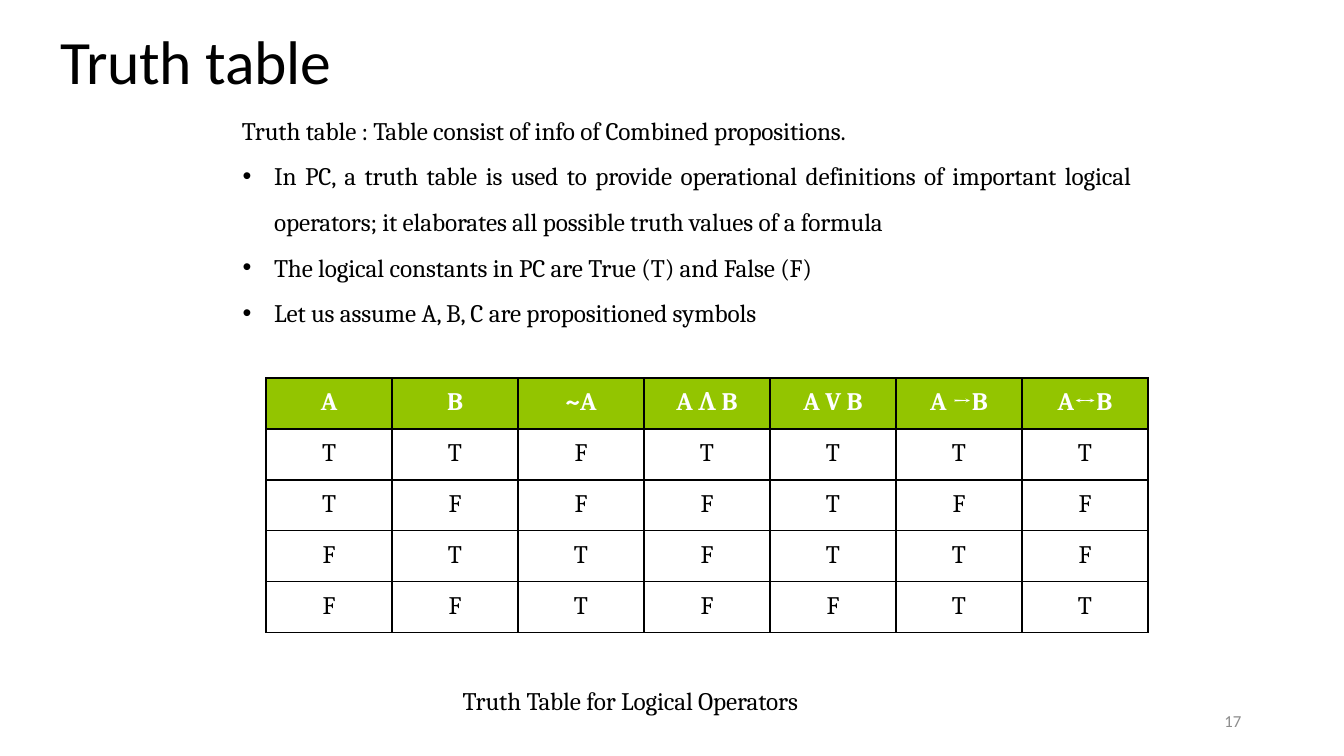
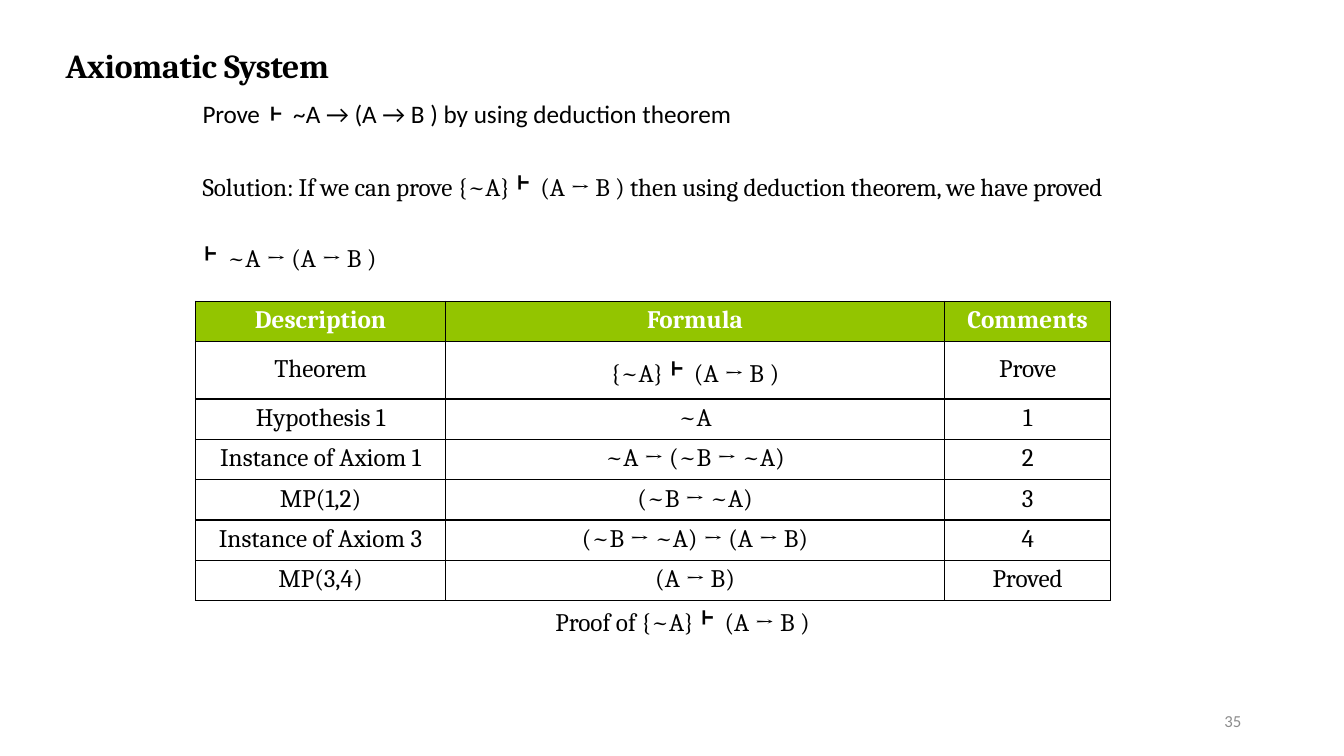
from dataclasses import dataclass

from lxml import etree
from pptx import Presentation
from pptx.dml.color import RGBColor
from pptx.enum.text import MSO_ANCHOR, PP_ALIGN
from pptx.oxml.ns import qn
from pptx.util import Pt

LEFT, RIGHT = PP_ALIGN.LEFT, PP_ALIGN.RIGHT
CENTER, JUST = PP_ALIGN.CENTER, PP_ALIGN.JUSTIFY
TOP, MID = MSO_ANCHOR.TOP, MSO_ANCHOR.MIDDLE
SIGN = "˫ "


@dataclass(frozen=True)
class Style:
    """Look of one kind of text."""
    size: float
    font: str
    color: str = "000000"
    bold: bool = False
    track: float = 0


class Theme:
    """Colours and type shared by the slides."""
    band, rule, back = "93C500", "000000", "FFFFFF"
    sign = 28
    title = Style(44, "Calibri", track=-0.2)
    head = Style(24, "Cambria", bold=True, track=-0.15)
    task = Style(18, "Calibri")
    body = Style(18, "Cambria", track=-0.08)
    cell = Style(18, "Cambria")
    top = Style(18, "Cambria", "FFFFFF", True)
    page = Style(12, "Calibri", "8C8C8C", track=0.1)


def add_run(para, text, style, size=None, track=None):
    """Add one styled run."""
    run = para.add_run()
    run.text = text
    font = run.font
    font.size, font.name, font.bold = Pt(size or style.size), style.font, style.bold
    font.color.rgb = RGBColor.from_string(style.color)
    space = style.track if track is None else track
    if space:
        run._r.get_or_add_rPr().set("spc", str(round(space * 100)))


def write(para, text, style, align=LEFT):
    """Fill a paragraph, with the turnstile sign set larger."""
    para.alignment = align
    for i, part in enumerate(text.split(SIGN)):
        if i:
            add_run(para, SIGN, style, Theme.sign, 0)
        if part:
            add_run(para, part, style)


def add_box(slide, box, inset=0.7, anchor=TOP):
    """Add a wrapped text frame with only a top inset."""
    frame = slide.shapes.add_textbox(*map(Pt, box)).text_frame
    frame.word_wrap = True
    frame.vertical_anchor = anchor
    frame.margin_left = frame.margin_right = frame.margin_bottom = 0
    frame.margin_top = Pt(inset)
    return frame


def add_label(slide, box, text, style, inset=0.7, anchor=TOP, align=LEFT):
    """Add a one-line text box and return its paragraph."""
    para = add_box(slide, box, inset, anchor).paragraphs[0]
    write(para, text, style, align)
    return para


def add_page(slide, number):
    """Add the page number at the lower right."""
    add_label(slide, (678, 500.5, 208.8, 28.8), number, Theme.page, 0, MID, RIGHT)


def add_points(slide, box, lead, points):
    """Add a lead line and a justified bullet list."""
    frame = add_box(slide, box, 11.5)
    write(frame.paragraphs[0], lead, Theme.body, JUST)
    for text in points:
        para = frame.add_paragraph()
        para.line_spacing = Pt(32.6)
        props = para._p.get_or_add_pPr()
        props.set("marL", str(Pt(23)))
        props.set("indent", str(Pt(-22.5)))
        font = etree.SubElement(props, qn("a:buFont"))
        font.set("typeface", "Arial")
        etree.SubElement(props, qn("a:buChar")).set("char", "•")
        write(para, text, Theme.body, JUST)


def add_rules(cell):
    """Draw the four borders of a cell."""
    props = cell._tc.get_or_add_tcPr()
    for i, side in enumerate("LRTB"):
        line = etree.Element(qn(f"a:ln{side}"), w=str(Pt(1)))
        fill = etree.SubElement(line, qn("a:solidFill"))
        etree.SubElement(fill, qn("a:srgbClr")).set("val", Theme.rule)
        props.insert(i, line)


def add_grid(slide, spot, cols, rows, data):
    """Add a ruled table with a coloured top row."""
    box = (*spot, sum(cols), sum(rows))
    grid = slide.shapes.add_table(len(rows), len(cols), *map(Pt, box)).table
    grid.first_row = grid.horz_banding = False
    for col, width in zip(grid.columns, cols):
        col.width = Pt(width)
    for r, (row, high) in enumerate(zip(data, rows)):
        grid.rows[r].height = Pt(high)
        for c, text in enumerate(row):
            cell = grid.cell(r, c)
            cell.margin_left = cell.margin_right = cell.margin_top = 0
            cell.margin_bottom = Pt(1.2)
            cell.vertical_anchor = MID
            if r:
                cell.fill.background()
            else:
                cell.fill.solid()
                cell.fill.fore_color.rgb = RGBColor.from_string(Theme.band)
            add_rules(cell)
            write(cell.text_frame.paragraphs[0], text,
                  Theme.cell if r else Theme.top, CENTER)


def new_slide(deck, number):
    """Add a blank slide with its page number."""
    slide = deck.slides.add_slide(deck.slide_layouts[6])
    slide.background.fill.solid()
    slide.background.fill.fore_color.rgb = RGBColor.from_string(Theme.back)
    add_page(slide, number)
    return slide


def truth_slide(deck):
    """Build the slide on truth tables."""
    slide = new_slide(deck, "17")
    title = add_label(slide, (43, 21, 240, 49), "Truth table", Theme.title, anchor=MID)
    title.line_spacing = 0.9
    add_points(slide, (172.8, 70.6, 635.2, 166),
               "Truth table : Table consist of info of Combined propositions.",
               ["In PC, a truth table is used to provide operational definitions of "
                "important logical operators; it elaborates all possible truth "
                "values of a formula",
                "The logical constants in PC are True (T) and False (F)",
                "Let us assume A, B, C are propositioned symbols"])
    head = ["A", "B", "~A", "A Ʌ B", "A V B", "A →B", "A↔B"]
    data = [head, "TTFTTTT", "TFFFTFF", "FTTFTTF", "FFTFFTT"]
    add_grid(slide, (190, 270), [90] * 7, [36.4] * 5, data)
    add_label(slide, (330.5, 489, 260, 24),
              "Truth Table for Logical Operators", Theme.body)


def proof_slide(deck):
    """Build the slide on the axiomatic proof."""
    slide = new_slide(deck, "35")
    add_label(slide, (46.8, 31.7, 220, 31), "Axiomatic System", Theme.head)
    task = add_box(slide, (144.7, 60.5, 420, 36), 1.4, MID).paragraphs[0]
    task.line_spacing = 0.9
    add_run(task, "Prove", Theme.task, track=-0.15)
    add_run(task, " ", Theme.task, track=4)
    write(task, "˫ ~A → (A → B ) by using deduction theorem", Theme.task)
    frame = add_box(slide, (144.7, 94.3, 684, 103), 18)
    write(frame.paragraphs[0], "Solution: If we can prove {~A} ˫ (A → B ) then "
          "using deduction theorem, we have proved", Theme.body)
    para = frame.add_paragraph()
    para.space_before = Pt(16.9)
    write(para, "˫ ~A → (A → B )", Theme.cell)
    data = [("Description", "Formula", "Comments"),
            ("Theorem", "{~A} ˫ (A → B )", "Prove"),
            ("Hypothesis 1", "~A", "1"),
            ("Instance of Axiom 1", "~A → (~B → ~A)", "2"),
            ("MP(1,2)", "(~B → ~A)", "3"),
            ("Instance of Axiom 3", "(~B → ~A) → (A → B)", "4"),
            ("MP(3,4)", "(A → B)", "Proved")]
    add_grid(slide, (139.7, 215.2), [178.6, 356.4, 118.8],
             [28.8, 41] + [28.8] * 5, data)
    add_label(slide, (396.7, 422, 200, 36), "Proof of {~A} ˫ (A → B )", Theme.cell, 1.4)


def main():
    """Build and save the deck."""
    deck = Presentation()
    deck.slide_width, deck.slide_height = Pt(960), Pt(540)
    truth_slide(deck)
    proof_slide(deck)
    deck.save("out.pptx")


if __name__ == "__main__":
    main()
